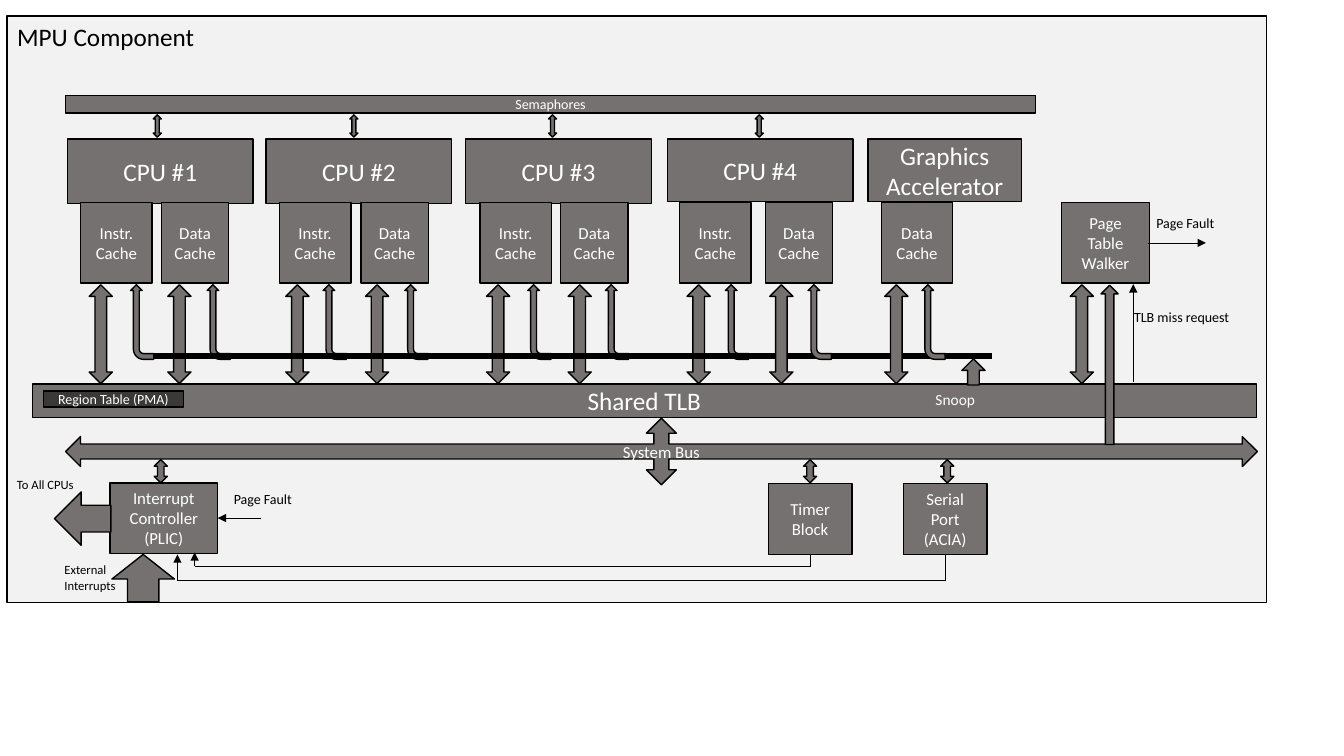
"""Build the MPU component block diagram slide."""
from dataclasses import dataclass
from itertools import pairwise

from lxml import etree
from pptx import Presentation
from pptx import util as u
from pptx.dml.color import RGBColor
from pptx.enum import shapes, text
from pptx.oxml.ns import qn

PX = 9144
FONT = "Calibri"
BLACK = RGBColor(0x00, 0x00, 0x00)
WHITE = RGBColor(0xFF, 0xFF, 0xFF)
PANEL = RGBColor(0xF2, 0xF2, 0xF2)
GREY = RGBColor(0x76, 0x71, 0x71)
DARK = RGBColor(0x3B, 0x38, 0x38)
KIND = shapes.MSO_SHAPE


@dataclass(frozen=True)
class Block:
    left: int
    top: int
    width: int
    height: int
    label: str = ""
    size: int = 12
    kind: KIND = KIND.RECTANGLE
    rotation: int = 0
    fill: RGBColor = GREY


@dataclass(frozen=True)
class Lane:
    label: str
    cache_left: int
    cache_width: int
    bus_x: int
    snoop_x: int


@dataclass(frozen=True)
class Label:
    words: str
    left: int
    top: int
    width: int
    height: int
    size: int = 10
    color: RGBColor = BLACK
    wrap: bool = False


@dataclass(frozen=True)
class Route:
    points: tuple[tuple[int, int], ...]
    weight: float = 0.5
    arrow: bool = True


TLB = Block(32, 381, 1214, 33, "Shared TLB", 18)
PROCESSORS = (
    Block(67, 138, 184, 64, "CPU #1", 18),
    Block(264, 138, 184, 64, "CPU #2", 18),
    Block(462, 138, 184, 64, "CPU #3", 18),
    Block(662, 138, 184, 62, "CPU #4", 18),
    Block(861, 138, 152, 62, "Graphics Accelerator", 18),
)
LANES = (
    Lane("Instr. Cache", 80, 71, 100, 141),
    Lane("Data Cache", 160, 67, 178, 217),
    Lane("Instr. Cache", 277, 71, 295, 332),
    Lane("Data Cache", 358, 67, 374, 413),
    Lane("Instr. Cache", 476, 71, 494, 535),
    Lane("Data Cache", 556, 67, 575, 612),
    Lane("Instr. Cache", 674, 71, 693, 731),
    Lane("Data Cache", 759, 67, 775, 813),
    Lane("Data Cache", 874, 71, 889, 926),
)
LANES_BEHIND_SNOOP_BAR = 7
SNOOP_BAR = Route(((152, 353), (984, 353)), 4.5, False)
SYSTEM = (
    Block(954, 356, 23, 26, kind=KIND.UP_ARROW),
    Block(65, 415, 1182, 66, "System Bus", kind=KIND.QUAD_ARROW),
    Block(43, 388, 139, 16, "Region Table (PMA)", 10, fill=DARK),
    Block(109, 479, 107, 70, "Interrupt Controller (PLIC)"),
    Block(762, 480, 83, 70, "Timer Block"),
    Block(896, 480, 83, 70, "Serial Port (ACIA)"),
    Block(54, 488, 56, 53, kind=KIND.RIGHT_ARROW, rotation=180),
    Block(65, 95, 962, 17, "Semaphores", 10),
    Block(1053, 201, 87, 80, "Page Table Walker"),
    Block(1092, 283, 17, 158, kind=KIND.DOWN_ARROW, rotation=180),
)
EXTERNAL = Block(111, 550, 62, 47, kind=KIND.DOWN_ARROW, rotation=180)
SEMAPHORE_XS = (156, 351, 548, 753)
PERIPHERAL_XS = (159, 803, 939)
WALKER_X = 1073
ROUTES = (
    Route(((804, 550), (804, 562), (193, 562), (193, 548))),
    Route(((938, 550), (938, 576), (176, 576), (176, 550))),
    Route(((1124, 379), (1124, 282))),
    Route(((1139, 241), (1196, 241))),
    Route(((259, 514), (216, 514))),
)
LABELS = (
    Label("Snoop", 918, 382, 74, 29, 11, WHITE, True),
    Label("To All CPUs", 7, 468, 83, 25, 9, wrap=True),
    Label("External Interrupts", 54, 553, 101, 40, 9, wrap=True),
    Label("TLB miss request", 1115, 301, 116, 27),
    Label("Page Fault", 1137, 208, 79, 27),
    Label("Page Fault", 222, 482, 79, 27),
)


def write(frame, words: str, size: int, color: RGBColor, align) -> None:
    """Put one formatted run in the frame's first paragraph."""
    paragraph = frame.paragraphs[0]
    paragraph.alignment = align
    run = paragraph.add_run()
    run.text = words
    run.font.name = FONT
    run.font.size = u.Pt(size)
    run.font.color.rgb = color


def paint(shape, fill: RGBColor) -> None:
    """Give a shape its fill and a thin black outline."""
    shape.fill.solid()
    shape.fill.fore_color.rgb = fill
    shape.line.color.rgb = BLACK
    shape.line.width = u.Pt(1)


def add_block(slide, block: Block):
    """Draw a block with its centred label."""
    box = (n * PX for n in (block.left, block.top, block.width, block.height))
    shape = slide.shapes.add_shape(block.kind, *box)
    shape.shadow.inherit = False
    shape.rotation = block.rotation
    paint(shape, block.fill)
    if block.label:
        shape.text_frame.word_wrap = True
        shape.text_frame.vertical_anchor = text.MSO_ANCHOR.MIDDLE
        write(shape.text_frame, block.label, block.size, WHITE, text.PP_ALIGN.CENTER)
    return shape


def add_upright(slide, x: int, y: int, length: int, breadth: int,
                kind: KIND = KIND.LEFT_RIGHT_ARROW) -> None:
    """Draw a sideways arrow turned upright around a centre point."""
    add_block(slide, Block(x - length // 2, y - breadth // 2, length, breadth,
                           kind=kind, rotation=270))


def add_lane(slide, lane: Lane) -> None:
    """Draw a cache with its arrows to the TLB and the snoop bar."""
    add_block(slide, Block(lane.cache_left, 201, lane.cache_width, 80, lane.label))
    add_upright(slide, lane.bus_x, 331, 98, 23)
    add_upright(slide, lane.snoop_x, 319, 74, 23, KIND.BENT_ARROW)


def add_route(slide, route: Route) -> None:
    """Draw straight segments through the route's points."""
    for start, end in pairwise(route.points):
        ends = (n * PX for n in (*start, *end))
        line = slide.shapes.add_connector(shapes.MSO_CONNECTOR.STRAIGHT, *ends)
        line.line.color.rgb = BLACK
        line.line.width = u.Pt(route.weight)
        properties = line._element.spPr
        etree.SubElement(properties, qn("a:effectLst"))
        if route.arrow and end == route.points[-1]:
            outline = properties.find(qn("a:ln"))
            etree.SubElement(outline, qn("a:tailEnd"), type="triangle")


def add_label(slide, label: Label) -> None:
    """Draw a free-standing text label."""
    box = (n * PX for n in (label.left, label.top, label.width, label.height))
    frame = slide.shapes.add_textbox(*box).text_frame
    frame.word_wrap = label.wrap
    frame.auto_size = text.MSO_AUTO_SIZE.SHAPE_TO_FIT_TEXT
    write(frame, label.words, label.size, label.color, text.PP_ALIGN.LEFT)


def add_panel(slide) -> None:
    """Turn the title into the panel around the diagram."""
    panel = slide.shapes.title
    panel.left, panel.top, panel.width, panel.height = (
        n * PX for n in (7, 16, 1249, 582))
    paint(panel, PANEL)
    frame = panel.text_frame
    frame.word_wrap = True
    frame.auto_size = text.MSO_AUTO_SIZE.NONE
    frame.vertical_anchor = text.MSO_ANCHOR.TOP
    write(frame, "MPU Component", 18, BLACK, text.PP_ALIGN.LEFT)


def main() -> None:
    """Assemble the slide and save it."""
    deck = Presentation()
    deck.slide_width, deck.slide_height = 1333 * PX, 750 * PX
    slide = deck.slides.add_slide(deck.slide_layouts.get_by_name("Title Only"))
    add_panel(slide)
    for block in (*PROCESSORS, TLB):
        add_block(slide, block)
    for lane in LANES[:LANES_BEHIND_SNOOP_BAR]:
        add_lane(slide, lane)
    add_route(slide, SNOOP_BAR)
    for lane in LANES[LANES_BEHIND_SNOOP_BAR:]:
        add_lane(slide, lane)
    for block in SYSTEM:
        add_block(slide, block)
    add_block(slide, EXTERNAL).adjustments[1] = 0.52
    for x in SEMAPHORE_XS:
        add_upright(slide, x, 125, 22, 8)
    for x in PERIPHERAL_XS:
        add_upright(slide, x, 467, 23, 13)
    add_upright(slide, WALKER_X, 331, 98, 23)
    for route in ROUTES:
        add_route(slide, route)
    for label in LABELS:
        add_label(slide, label)
    deck.save("out.pptx")


if __name__ == "__main__":
    main()
